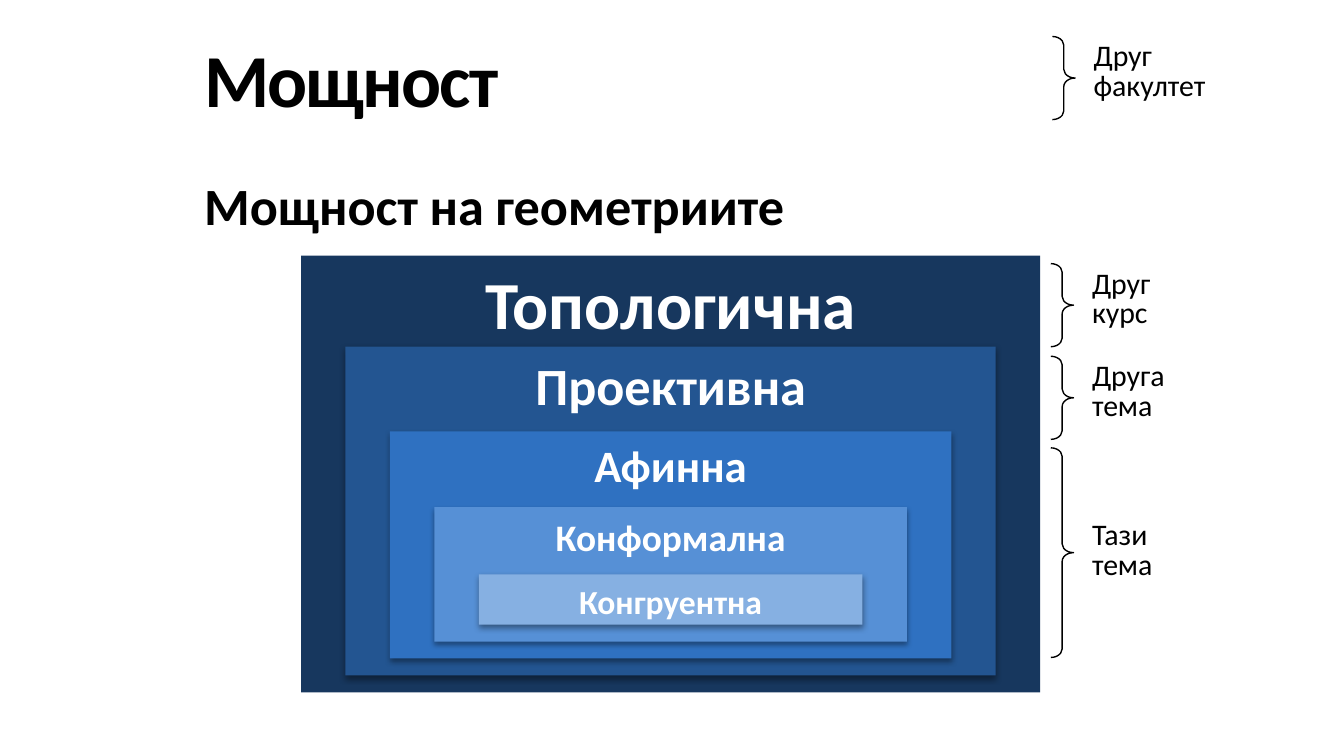
"""Builds a slide that nests the geometries by power and shows where each is taught."""
from lxml import etree
from pptx import Presentation
from pptx.dml.color import RGBColor
from pptx.enum.shapes import MSO_SHAPE
from pptx.enum.text import MSO_ANCHOR, PP_ALIGN
from pptx.oxml import parse_xml
from pptx.util import Cm, Pt

RECTANGLE, BRACE = MSO_SHAPE.RECTANGLE, MSO_SHAPE.RIGHT_BRACE
TOP, MIDDLE = MSO_ANCHOR.TOP, MSO_ANCHOR.MIDDLE
LEFT, CENTER = PP_ALIGN.LEFT, PP_ALIGN.CENTER
DRAWING = "http://schemas.openxmlformats.org/drawingml/2006/main"

TITLE = "Мощност"
SUBTITLE = "Мощност на геометриите"
GEOMETRIES = [
    ("Топологична", 4.83, 36, "17375E"),
    ("Проективна", 6.55, 28, "235591"),
    ("Афинна", 8.15, 24, "2F71C1"),
    ("Конформална", 9.58, 20, "5690D6"),
    ("Конгруентна", 10.85, 18, "86B0E2"),
]
COURSES = [
    ("Друг\nфакултет", 19.89, 0.69, 1.57, 0.69),
    ("Друг\nкурс", 19.86, 4.98, 1.57, 4.98),
    ("Друга\nтема", 19.86, 6.73, 1.57, 6.73),
    ("Тази\nтема", 19.86, 8.46, 3.96, 9.73),
]
OUTER_LEFT, OUTER_WIDTH, OUTER_BOTTOM = 5.69, 13.97, 13.08
SIDE_STEP, BOTTOM_STEP = 0.84, 0.32
BRACE_WIDTH, LABEL_OFFSET = 0.43, 0.53


def rgb(value):
    return RGBColor.from_string(value)


def write(shape, text, size, color="000000", bold=False, align=LEFT,
          anchor=TOP, wrap=True, leading=None, tracking=None):
    frame = shape.text_frame
    frame.word_wrap = wrap
    frame.vertical_anchor = anchor
    paragraph = frame.paragraphs[0]
    paragraph.text = text
    paragraph.alignment = align
    if leading:
        paragraph.line_spacing = Pt(leading)
    for run in paragraph.runs:
        run.font.name = "Calibri"
        run.font.size = Pt(size)
        run.font.bold = bold
        run.font.color.rgb = rgb(color)
        if tracking:
            run.font._element.set("spc", str(tracking))


def add_text(slide, text, left, top, width, height, **text_format):
    box = slide.shapes.add_textbox(Cm(left), Cm(top), Cm(width), Cm(height))
    write(box, text, **text_format)


def cast_shadow(shape):
    effects = parse_xml(
        f'<a:effectLst xmlns:a="{DRAWING}"><a:outerShdw blurRad="{Pt(3.1)}" '
        f'dist="{Pt(1.6)}" dir="5400000" rotWithShape="0"><a:srgbClr val="000000">'
        '<a:alpha val="38000"/></a:srgbClr></a:outerShdw></a:effectLst>')
    properties = shape._element.spPr
    properties.remove(properties.find(etree.QName(DRAWING, "effectLst").text))
    properties.append(effects)


def add_geometry(slide, depth, name, top, size, color):
    left = OUTER_LEFT + depth * SIDE_STEP
    width = OUTER_WIDTH - 2 * depth * SIDE_STEP
    height = OUTER_BOTTOM - depth * BOTTOM_STEP - top
    layer = slide.shapes.add_shape(RECTANGLE, Cm(left), Cm(top), Cm(width), Cm(height))
    layer.fill.solid()
    layer.fill.fore_color.rgb = rgb(color)
    layer.line.fill.background()
    layer.shadow.inherit = False
    if depth:
        cast_shadow(layer)
    write(layer, name, size, color="FFFFFF", bold=True, align=CENTER)


def add_course(slide, label, left, top, height, label_top):
    brace = slide.shapes.add_shape(BRACE, Cm(left), Cm(top), Cm(BRACE_WIDTH), Cm(height))
    brace.adjustments[0] = 0.378
    brace.fill.background()
    brace.line.color.rgb = rgb("000000")
    brace.line.width = Pt(0.75)
    brace.shadow.inherit = False
    add_text(slide, label, left + LABEL_OFFSET, label_top, 2.67, 1.4,
             size=16, leading=16)


def main():
    deck = Presentation()
    deck.slide_width, deck.slide_height = Cm(25.4), Cm(14.28)
    slide = deck.slides.add_slide(deck.slide_layouts[6])
    add_text(slide, SUBTITLE, 3.61, 3.15, 21.79, 1.5, size=28, bold=True)
    add_text(slide, TITLE, 3.61, 0.38, 21.79, 2.16, size=40, bold=True,
             anchor=MIDDLE, tracking=-100)
    for depth, geometry in enumerate(GEOMETRIES):
        add_geometry(slide, depth, *geometry)
    for course in COURSES:
        add_course(slide, *course)
    deck.save("out.pptx")


if __name__ == "__main__":
    main()
